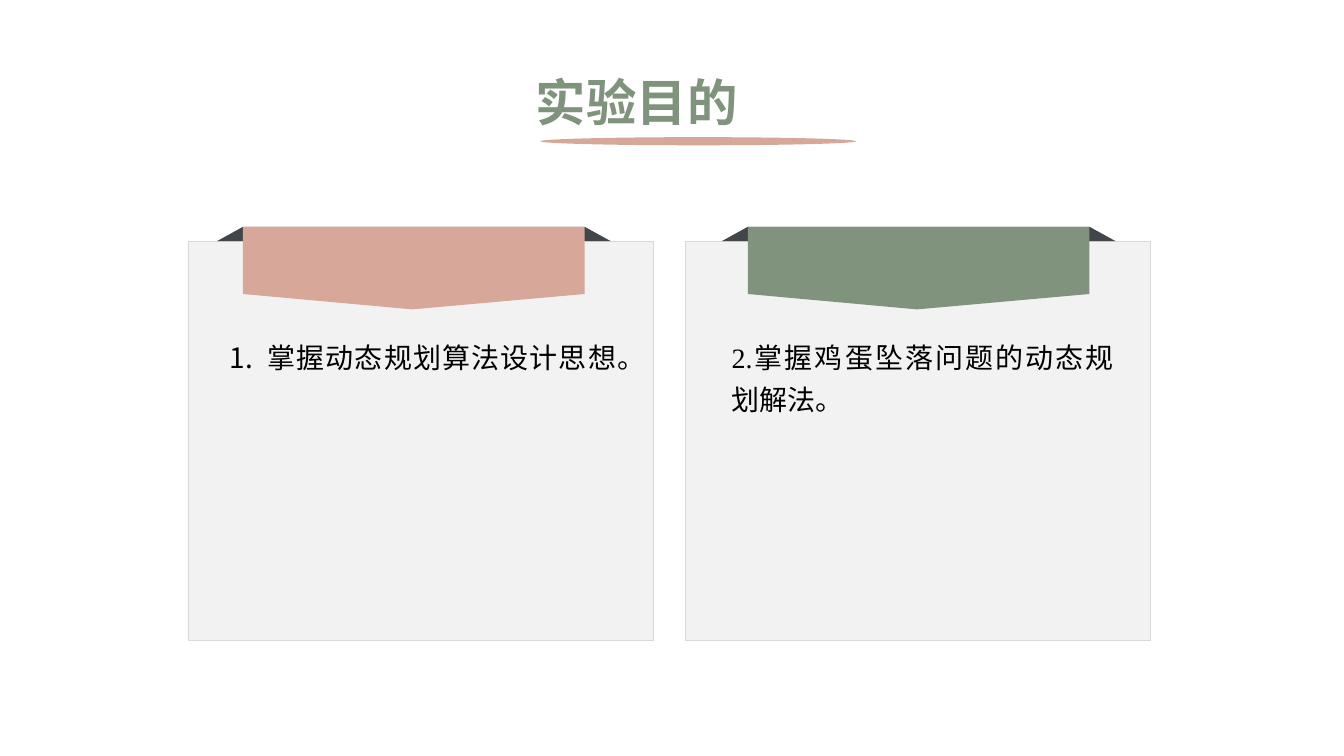
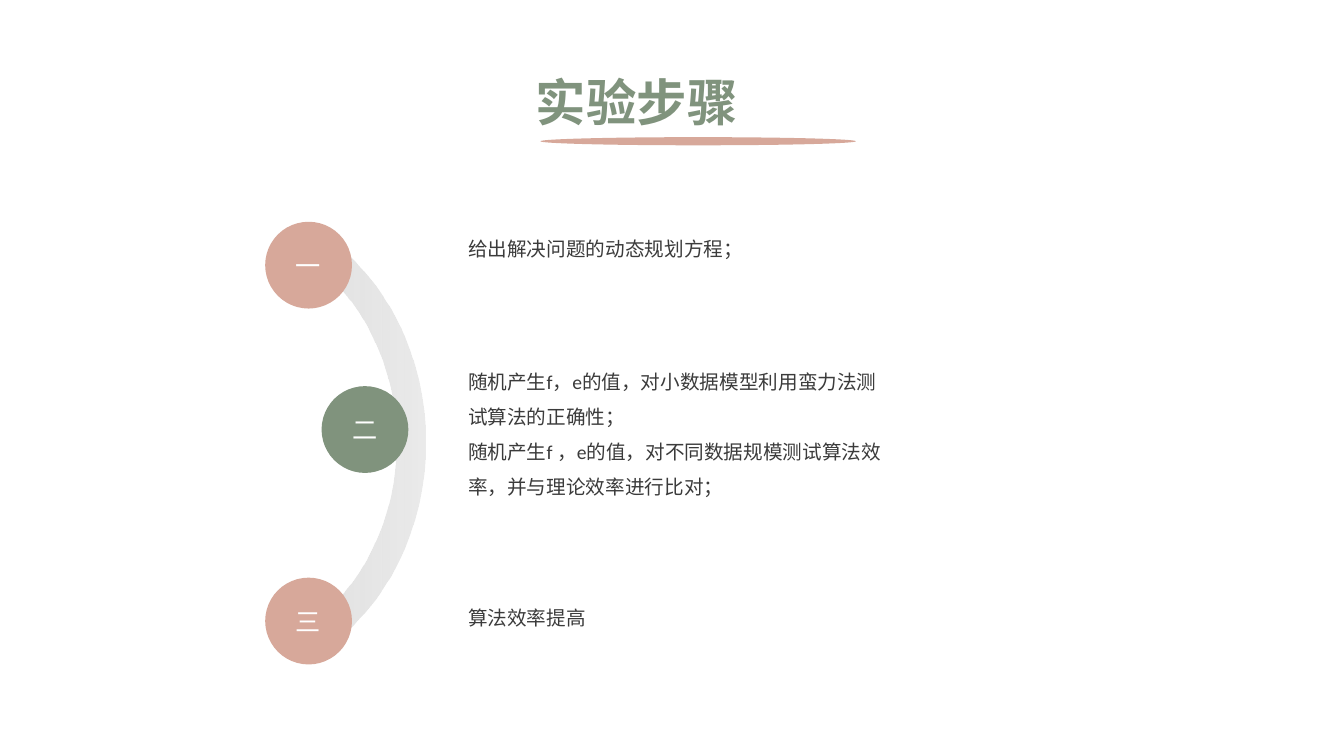
from dataclasses import dataclass

from lxml.etree import SubElement as Sub
from pptx import Presentation as Deck
from pptx.dml.color import RGBColor as Rgb
from pptx.enum.shapes import MSO_SHAPE as Kind
from pptx.enum.text import MSO_ANCHOR as Anchor, MSO_AUTO_SIZE as Fit, PP_ALIGN as Align
from pptx.oxml.ns import qn
from pptx.util import Pt


@dataclass(frozen=True)
class Theme:
    """Colours, fonts and type sizes of the deck."""
    rose: str = "D7A89A"
    green: str = "80937D"
    card: str = "F2F2F2"
    edge: str = "D9D9D9"
    fold: str = "41464A"
    ink: str = "3B3B3B"
    black: str = "000000"
    white: str = "FFFFFF"
    sans: str = "Noto Sans CJK SC"
    serif: str = "Times New Roman"
    plain: str = "Calibri"
    head: int = 36
    body: int = 20
    badge: int = 18
    note: int = 14


def apply(obj, look):
    for key, val in look.items():
        setattr(obj, key, val)


class Pen:
    """Draws themed elements on the current slide."""

    def __init__(self, theme):
        self.theme = theme
        self.deck = Deck()
        apply(self.deck, {"slide_width": Pt(960), "slide_height": Pt(540)})
        self.slide = None

    def page(self, title):
        self.slide = self.deck.slides.add_slide(self.deck.slide_layouts[6])
        t = self.theme
        self.shape(Kind.OVAL, 386, 98, 225.4, 5.8, t.rose)
        self.text(375.8, 47.5, 244, 51, [title], t.sans, t.head, t.green,
                  {"alignment": Align.JUSTIFY}, bold=True)

    def paint(self, shape, fill, line=None):
        shape.shadow.inherit = False
        if fill:
            shape.fill.solid()
            shape.fill.fore_color.rgb = Rgb.from_string(fill)
        if line:
            shape.line.color.rgb = Rgb.from_string(line)
            shape.line.width = Pt(0.75)
        else:
            shape.line.fill.background()
        return shape

    def shape(self, kind, x, y, w, h, fill=None, line=None):
        box = self.slide.shapes.add_shape(kind, Pt(x), Pt(y), Pt(w), Pt(h))
        return self.paint(box, fill, line)

    def free(self, dots, fill):
        first, *rest = [(Pt(x), Pt(y)) for x, y in dots]
        form = self.slide.shapes.build_freeform(*first)
        form.add_line_segments(rest, close=True)
        return self.paint(form.convert_to_shape(), fill)

    def letter(self, frame, lines, font, size, color, look, bold=False):
        for num, line in enumerate(lines):
            para = frame.add_paragraph() if num else frame.paragraphs[0]
            apply(para, look)
            run = para.add_run()
            run.text = line
            apply(run.font, {"name": font, "size": Pt(size), "bold": bold})
            run.font.color.rgb = Rgb.from_string(color)
            Sub(run.font._element, qn("a:ea"), typeface=self.theme.sans)

    def text(self, x, y, w, h, lines, font, size, color, look, bold=False):
        box = self.slide.shapes.add_textbox(Pt(x), Pt(y), Pt(w), Pt(h))
        apply(box.text_frame, {"word_wrap": True, "auto_size": Fit.SHAPE_TO_FIT_TEXT})
        self.letter(box.text_frame, lines, font, size, color, look, bold)
        return box

    def card(self, left, x, fill, inset, wide, high, line):
        t, top, low, wing, span = self.theme, 162, 172.2, 18.5, 244
        self.shape(Kind.RECTANGLE, left, 172.8, 332, 284.4, t.card, t.edge)
        self.free([(x, top), (x + span, top), (x + span + wing, low), (x - wing, low)], t.fold)
        self.free([(x, top), (x + span, top), (x + span, 210), (x + 121, 221), (x, 210)], fill)
        return self.text(x - inset, 234, wide, high, [line], t.serif, t.body, t.black,
                         {"alignment": Align.JUSTIFY, "line_spacing": 1.25})

    def number(self, box):
        prop = box.text_frame.paragraphs[0]._p.get_or_add_pPr()
        prop.set("marL", str(Pt(27)))
        prop.set("indent", str(Pt(-27)))
        Sub(prop, qn("a:buFont"), typeface=self.theme.sans)
        Sub(prop, qn("a:buAutoNum"), type="arabicPeriod")

    def arc(self, x, y, w, h):
        t = self.theme
        arc = self.shape(Kind.BLOCK_ARC, x, y, w, h)
        arc.rotation = 90
        for num, val in enumerate((123.57, 201.63, 0.07)):
            arc.adjustments[num] = val
        arc.fill.gradient()
        arc.fill.gradient_angle = 270
        for stop, color in zip(arc.fill.gradient_stops, (t.edge, t.white)):
            stop.color.rgb = Rgb.from_string(color)
        tint = next(arc._element.iter(qn("a:srgbClr")))
        Sub(tint, qn("a:alpha"), val="51000")

    def badge(self, x, y, mark, fill):
        t = self.theme
        disc = self.shape(Kind.OVAL, x, y, 62, 62, fill)
        disc.text_frame.vertical_anchor = Anchor.MIDDLE
        self.letter(disc.text_frame, [mark], t.sans, t.badge, t.white,
                    {"alignment": Align.CENTER})

    def note(self, y, h, lines):
        t = self.theme
        self.text(327.3, y, 316.8, h, lines, t.plain, t.note, t.ink, {"line_spacing": 1.5})


def main():
    t = Theme()
    pen = Pen(t)

    pen.page("实验目的")
    goal = pen.card(134.6, 173.6, t.rose, 16.6, 291, 34.6, "掌握动态规划算法设计思想。")
    pen.number(goal)
    pen.card(489.6, 534.2, t.green, 18.7, 287.3, 64.8, "2.掌握鸡蛋坠落问题的动态规划解法。")

    pen.page("实验步骤")
    pen.arc(-16.6, 167.8, 344.2, 296.6)
    steps = [
        (189.4, 158.4, "一", t.rose, 157, 29.5, ["给出解决问题的动态规划方程；"]),
        (229.7, 275.8, "二", t.green, 252, 105.8, [
            "随机产生f，e的值，对小数据模型利用蛮力法测试算法的正确性；",
            "随机产生f ，e的值，对不同数据规模测试算法效率，并与理论效率进行比对；"]),
        (189.4, 412.6, "三", t.rose, 421.2, 29.5, ["算法效率提高"]),
    ]
    for x, y, mark, fill, top, high, lines in steps:
        pen.badge(x, y, mark, fill)
        pen.note(top, high, lines)

    pen.deck.save("out.pptx")


if __name__ == "__main__":
    main()
